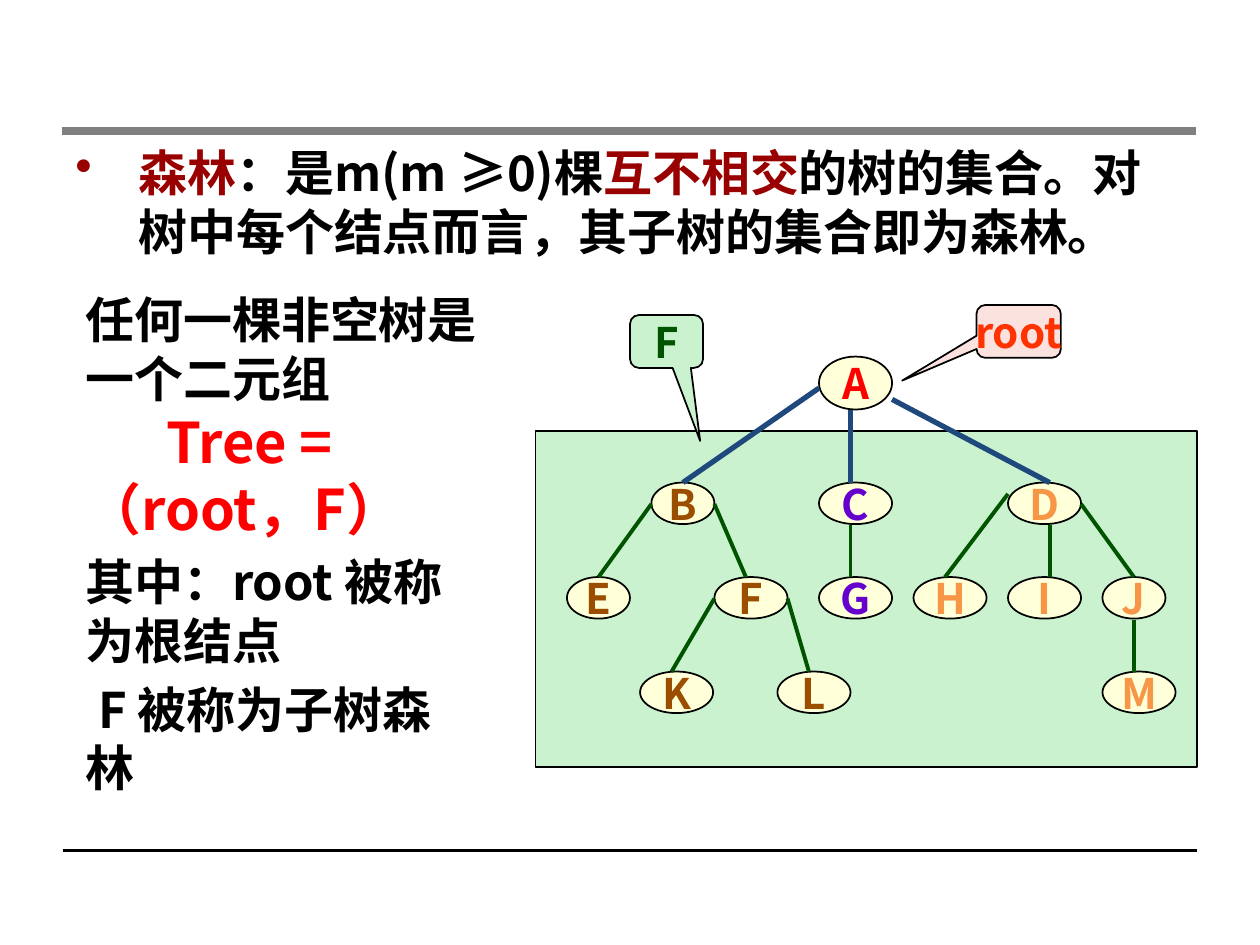
from pptx import Presentation
from pptx.dml.color import RGBColor
from pptx.enum.shapes import MSO_CONNECTOR, MSO_SHAPE as SHAPE
from pptx.enum.text import MSO_ANCHOR, PP_ALIGN
from pptx.oxml.ns import qn
from pptx.util import Inches, Pt
from lxml.etree import SubElement

FONT = "Noto Sans CJK SC"
BLACK, RED, DARK_RED = "000000", "FF0000", "990000"
BROWN, PURPLE, ORANGE = "9C4E00", "6600CC", "F79646"
GREEN, BLUE, GRAY = "005400", "1F497D", "808080"
CREAM, MINT, PINK = "FFFFD9", "CAF2CE", "FBE2DF"

# Content: runs are (text, colour)
DEFINITION = [("森林", DARK_RED), ("：是m(m ≥0)棵", BLACK), ("互不相交", DARK_RED),
              ("的树的集合。对树中每个结点而言，其子树的集合即为森林。", BLACK)]
# text, size, colour, first-line indent, space before
TUPLE_LINES = [
    ("任何一棵非空树是一个二元组", 28, BLACK, 0, 0),
    ("Tree = （root，F）", 32, RED, 0.64, 0),
    ("其中：root 被称为根结点", 28, BLACK, 0, 5.6),
    ("F 被称为子树森林", 28, BLACK, 0.1, 5.6),
]

# Tree: level tops, then name, level, left, width, colour
LEVELS = [2.83, 3.83, 4.58, 5.33]
WIDE, NARROW = 0.58, 0.5
ROOT = ("A", 0, 6.5, WIDE, RED)
NODES = [
    ("B", 1, 5.17, NARROW, BROWN), ("C", 1, 6.5, WIDE, PURPLE), ("D", 1, 8, WIDE, ORANGE),
    ("E", 2, 4.5, NARROW, BROWN), ("F", 2, 5.67, WIDE, BROWN), ("G", 2, 6.5, WIDE, PURPLE),
    ("H", 2, 7.25, WIDE, ORANGE), ("I", 2, 8, WIDE, ORANGE), ("J", 2, 8.75, NARROW, ORANGE),
    ("M", 3, 8.75, WIDE, ORANGE), ("K", 3, 5.08, WIDE, BROWN), ("L", 3, 6.17, WIDE, BROWN),
]
# start x, start y, end x, level whose top the edge reaches
SUBTREE_EDGES = [
    (5.17, 4, 4.75, 2), (5.67, 4, 5.92, 2), (5.67, 4.75, 5.33, 3),
    (6.25, 4.75, 6.42, 3), (6.75, 4.17, 6.75, 2), (8, 3.92, 7.5, 2),
    (8.33, 4.17, 8.33, 2), (8.58, 4, 9, 2), (9, 4.92, 9, 3),
]
ROOT_EDGES = [(6.5, 3.08, 5.42, 1), (6.75, 3.25, 6.75, 1), (7.08, 3.17, 8.33, 1)]

prs = Presentation()
prs.slide_width, prs.slide_height = Inches(10), Inches(7.5)
s = prs.slides.add_slide(prs.slide_layouts[6])


def rgb(color):
    return RGBColor.from_string(color)


def add_run(p, text, size=28, color=BLACK):
    r = p.add_run()
    r.text = text
    r.font.size, r.font.bold, r.font.name = Pt(size), True, FONT
    r.font.color.rgb = rgb(color)
    SubElement(r._r.get_or_add_rPr(), qn("a:ea")).set("typeface", FONT)


def add_text_box(*box):
    tf = s.shapes.add_textbox(*map(Inches, box)).text_frame
    tf.word_wrap = True
    return tf


def add_shape(kind, box, fill, text="", color=BLACK, adjust=()):
    sp = s.shapes.add_shape(kind, *map(Inches, box))
    sp.shadow.inherit = False
    sp.fill.solid()
    sp.fill.fore_color.rgb = rgb(fill)
    sp.line.color.rgb, sp.line.width = rgb(BLACK), Pt(1)
    for i, value in enumerate(adjust):
        sp.adjustments[i] = value
    if text:
        tf = sp.text_frame
        tf.word_wrap, tf.vertical_anchor = False, MSO_ANCHOR.MIDDLE
        p = tf.paragraphs[0]
        p.alignment = PP_ALIGN.CENTER
        add_run(p, text, 24, color)


def add_line(x1, y1, x2, y2, color, width):
    line = s.shapes.add_connector(MSO_CONNECTOR.STRAIGHT, *map(Inches, (x1, y1, x2, y2)))
    line.line.color.rgb, line.line.width = rgb(color), Pt(width)
    SubElement(line._element.spPr, qn("a:effectLst"))


def add_node(name, level, left, width, color):
    height = 0.33 if level else 0.42
    add_shape(SHAPE.OVAL, (left, LEVELS[level], width, height), CREAM, name, color)


def add_edges(edges, color, width):
    for x1, y1, x2, level in edges:
        add_line(x1, y1, x2, LEVELS[level], color, width)


# Rules above and below
add_line(0.5, 6.75, 9.5, 6.75, BLACK, 2)
add_line(0.49, 1.04, 9.49, 1.04, GRAY, 5)

# Definition with a hanging bullet
p = add_text_box(0.5, 1.08, 8.83, 1.04).paragraphs[0]
pPr = p._p.get_or_add_pPr()
pPr.set("marL", str(Inches(0.5)))
pPr.set("indent", str(Inches(-0.5)))
SubElement(pPr, qn("a:buChar")).set("char", "•")
for text, color in DEFINITION:
    add_run(p, text, color=color)

# Tree as a pair
tf = add_text_box(0.58, 2.25, 3.33, 4.33)
for i, (text, size, color, indent, before) in enumerate(TUPLE_LINES):
    p = tf.add_paragraph() if i else tf.paragraphs[0]
    if indent:
        p._p.get_or_add_pPr().set("indent", str(Inches(indent)))
    if before:
        p.space_before = Pt(before)
    add_run(p, text, size, color)

# Root, its callout and the forest panel
add_node(*ROOT)
add_shape(SHAPE.ROUNDED_RECTANGULAR_CALLOUT, (7.75, 2.42, 0.67, 0.42), PINK,
          "root", "FF3300", (-1.38, 0.93, 0.17))
add_shape(SHAPE.RECTANGLE, (4.25, 3.42, 5.25, 2.67), MINT)

# Subtrees
for node in NODES:
    add_node(*node)
add_edges(SUBTREE_EDGES, GREEN, 2.25)
add_shape(SHAPE.ROUNDED_RECTANGULAR_CALLOUT, (5, 2.5, 0.58, 0.42), MINT,
          "F", GREEN, (0.46, 1.88, 0.17))
add_edges(ROOT_EDGES, BLUE, 3)

prs.save("out.pptx")
